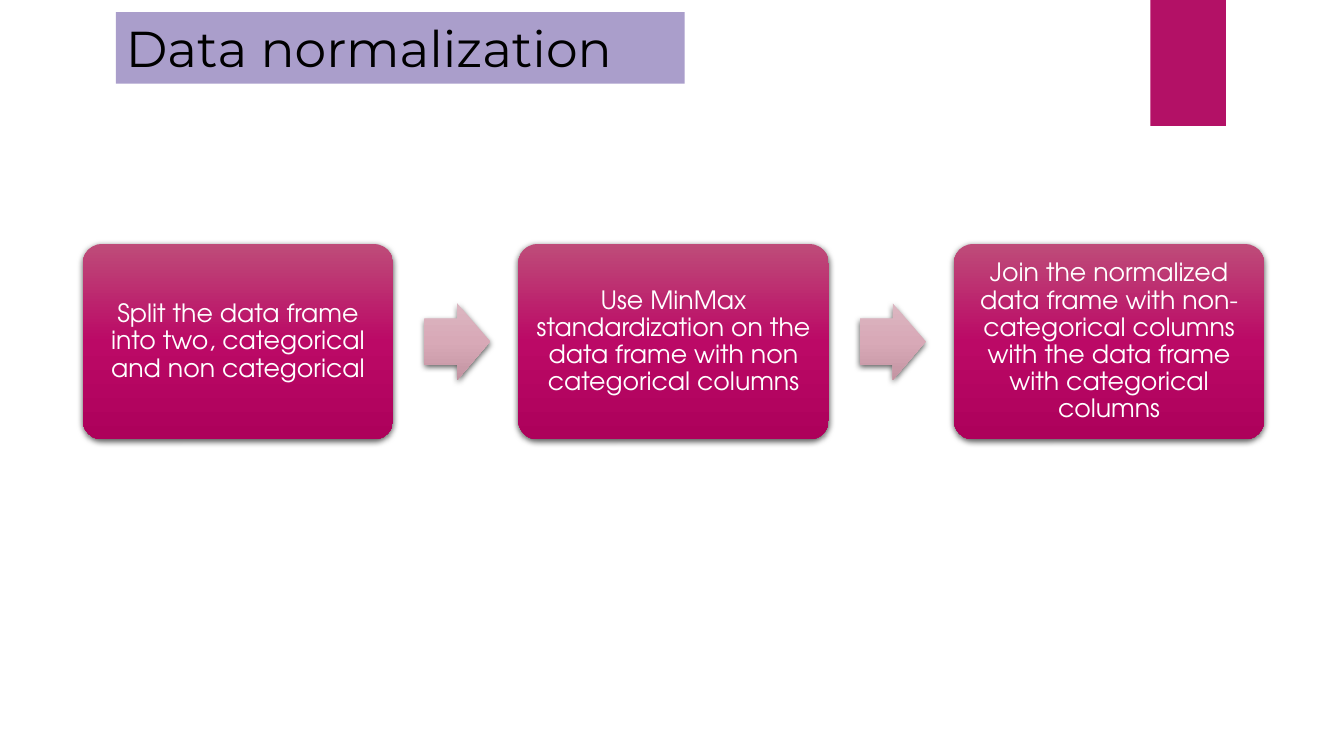
from copy import deepcopy

from lxml import etree
from pptx import Presentation
from pptx.dml.color import RGBColor
from pptx.enum.shapes import MSO_SHAPE as Preset
from pptx.enum.text import MSO_ANCHOR as Anchor, PP_ALIGN as Align
from pptx.oxml.ns import qn
from pptx.util import Inches, Pt

ACCENT = RGBColor(0xB3, 0x11, 0x66)
LAVENDER = RGBColor(0xAA, 0x9E, 0xCB)
BLACK = RGBColor(0x00, 0x00, 0x00)
WHITE = RGBColor(0xFF, 0xFF, 0xFF)
STEP_SHADES = (RGBColor(0xBE, 0x4C, 0x79), RGBColor(0xBB, 0x09, 0x66), RGBColor(0xAD, 0x01, 0x5B))
ARROW_SHADES = (RGBColor(0xDB, 0xB6, 0xC1), RGBColor(0xD8, 0xA9, 0xB7), RGBColor(0xC3, 0x94, 0xA2))

STEPS = (
    "Split the data frame into two, categorical and non categorical",
    "Use MinMax standardization on the data frame with non categorical columns",
    "Join the normalized data frame with non-categorical columns "
    "with the data frame with categorical columns",
)


def add_block(slide, preset, left, top, width, height):
    block = slide.shapes.add_shape(preset, Inches(left), Inches(top), Inches(width), Inches(height))
    block.shadow.inherit = False
    block.line.fill.background()
    return block


def fill_solid(block, color):
    block.fill.solid()
    block.fill.fore_color.rgb = color


def fill_shaded(block, shades):
    block.fill.gradient()
    block.fill.gradient_angle = 270
    stop_list = block._element.spPr.find(qn("a:gradFill")).find(qn("a:gsLst"))
    stop_list.append(deepcopy(stop_list[0]))
    for index, (stop, shade) in enumerate(zip(block.fill.gradient_stops, shades)):
        stop.position = index / 2
        stop.color.rgb = shade


def add_drop_shadow(block):
    effects = block._element.spPr.find(qn("a:effectLst"))
    drop = etree.SubElement(effects, qn("a:outerShdw"), blurRad=str(Pt(4.5)), dist=str(Pt(1.5)),
                            dir="5400000", algn="ctr", rotWithShape="0")
    tone = etree.SubElement(drop, qn("a:srgbClr"), val=str(BLACK))
    etree.SubElement(tone, qn("a:alpha"), val="63000")


def write(block, wording, font_name, size, color, align, anchor):
    frame = block.text_frame
    frame.word_wrap = True
    frame.vertical_anchor = anchor
    paragraph = frame.paragraphs[0]
    paragraph.alignment = align
    run = paragraph.add_run()
    run.text = wording
    run.font.name = font_name
    run.font.size = Pt(size)
    run.font.color.rgb = color
    return paragraph


def add_title(slide, left, top, width, height):
    title = add_block(slide, Preset.RECTANGLE, left, top, width, height)
    fill_solid(title, LAVENDER)
    write(title, "Data normalization", "Montserrat", 36, BLACK, Align.LEFT, Anchor.TOP)


def add_accent_tab(slide, left, top, width, height):
    fill_solid(add_block(slide, Preset.RECTANGLE, left, top, width, height), ACCENT)


def add_step(slide, wording, left, top, width, height):
    step = add_block(slide, Preset.ROUNDED_RECTANGLE, left, top, width, height)
    step.adjustments[0] = 0.1
    fill_shaded(step, STEP_SHADES)
    add_drop_shadow(step)
    frame = step.text_frame
    frame.margin_left = frame.margin_right = Inches(0.07)
    frame.margin_top = frame.margin_bottom = Inches(0.07)
    paragraph = write(step, wording, "TeX Gyre Adventor", 18, WHITE, Align.CENTER, Anchor.MIDDLE)
    paragraph.line_spacing = 0.9


def add_step_arrow(slide, left, top, width, height):
    arrow = add_block(slide, Preset.RIGHT_ARROW, left, top, width, height)
    arrow.adjustments[0] = 0.6
    arrow.adjustments[1] = 0.5
    fill_shaded(arrow, ARROW_SHADES)
    add_drop_shadow(arrow)


def add_process(slide, left, top, width, height):
    step_width, arrow_width, arrow_height, arrow_gap = 3.08, 0.65, 0.76, 0.31
    pitch = (width - step_width) / (len(STEPS) - 1)
    for index, wording in enumerate(STEPS):
        step_left = left + index * pitch
        if index:
            add_step_arrow(slide, step_left - pitch + step_width + arrow_gap,
                           top + (height - arrow_height) / 2, arrow_width, arrow_height)
        add_step(slide, wording, step_left, top, step_width, height)


def main():
    deck = Presentation()
    deck.slide_width = Inches(13.33)
    deck.slide_height = Inches(7.5)
    slide = deck.slides.add_slide(deck.slide_layouts[6])
    add_accent_tab(slide, 11.41, 0, 0.75, 1.25)
    add_title(slide, 1.15, 0.12, 5.64, 0.71)
    add_process(slide, 0.82, 2.42, 11.72, 1.94)
    deck.save("out.pptx")


if __name__ == "__main__":
    main()
